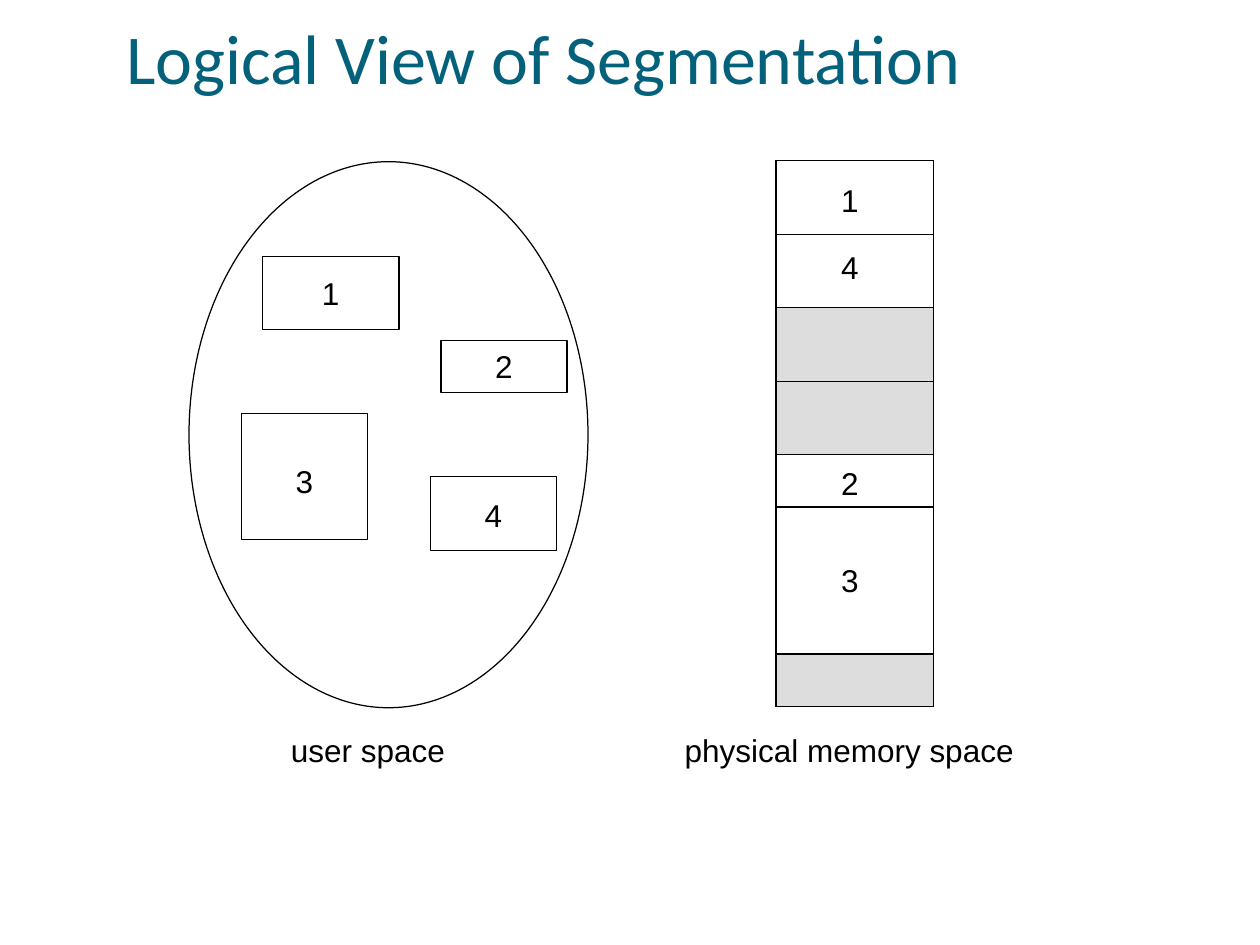
from dataclasses import dataclass

from lxml import etree
from pptx import Presentation, util as u
from pptx.dml.color import RGBColor
from pptx.enum import shapes, text
from pptx.oxml.ns import qn

PX = u.Inches(1) // 120


@dataclass(frozen=True)
class Theme:
    title: RGBColor = RGBColor.from_string("04617B")
    ink: RGBColor = RGBColor.from_string("000000")
    free: RGBColor = RGBColor.from_string("DDDDDD")
    title_size: u.Pt = u.Pt(40)
    body_size: u.Pt = u.Pt(18)
    outline: u.Pt = u.Pt(0.72)
    border: u.Pt = u.Pt(0.75)


theme = Theme()


def write(frame, words, align, top=0, font="Arial", size=theme.body_size, color=theme.ink):
    """Fill a text frame with one styled line and no insets except the top one."""
    frame.margin_left = frame.margin_right = frame.margin_bottom = 0
    frame.margin_top = top * PX
    frame.word_wrap = True
    frame.text = words
    line = frame.paragraphs[0]
    line.alignment = align
    style = line.runs[0].font
    style.name, style.size, style.color.rgb = font, size, color


def outline(kind, left, top, width, height):
    shape = slide.shapes.add_shape(kind, left * PX, top * PX, width * PX, height * PX)
    shape.shadow.inherit = False
    shape.fill.background()
    shape.line.color.rgb = theme.ink
    shape.line.width = theme.outline
    return shape


prs = Presentation()
prs.slide_width, prs.slide_height = 1200 * PX, 900 * PX
slide = prs.slides.add_slide(prs.slide_layouts[5])

title = slide.shapes.title
title.left, title.top, title.width, title.height = 120 * PX, 10 * PX, 908 * PX, 84 * PX
write(title.text_frame, "Logical View of Segmentation", text.PP_ALIGN.LEFT,
      top=2, font="Calibri", size=theme.title_size, color=theme.title)
title.text_frame.vertical_anchor = text.MSO_ANCHOR.BOTTOM
title.text_frame.auto_size = text.MSO_AUTO_SIZE.NONE

# User space: segments scattered inside one address space
outline(shapes.MSO_SHAPE.OVAL, 180, 154, 380, 520)
segments = [
    ("1", 250, 244, 130, 70, 17),
    ("3", 230, 394, 120, 120, 46),
    ("2", 420, 324, 120, 50, 7),
    ("4", 410, 454, 120, 70, 18),
]
for number, left, top, width, height, text_top in segments:
    segment = outline(shapes.MSO_SHAPE.RECTANGLE, left, top, width, height)
    write(segment.text_frame, number, text.PP_ALIGN.CENTER, text_top)
    segment.text_frame.vertical_anchor = text.MSO_ANCHOR.TOP

# Physical memory: (segment, height, text offset); an empty segment is free memory
blocks = [("1", 70, 22), ("4", 70, 16), ("", 70, 0), ("", 70, 0),
          ("2", 50, 12), ("3", 140, 54), ("", 50, 0)]
memory_height = sum(height for _, height, _ in blocks)
memory = slide.shapes.add_table(len(blocks), 1, 739 * PX, 153 * PX,
                                150 * PX, memory_height * PX).table
memory.first_row = memory.horz_banding = False
for row, (number, height, text_top) in enumerate(blocks):
    memory.rows[row].height = height * PX
    cell = memory.cell(row, 0)
    cell.margin_left, cell.margin_top = 62 * PX, text_top * PX
    cell.margin_right = cell.margin_bottom = 0
    properties = cell._tc.get_or_add_tcPr()
    for side in ("a:lnL", "a:lnR", "a:lnT", "a:lnB"):
        edge = etree.SubElement(properties, qn(side), w=str(theme.border))
        paint = etree.SubElement(edge, qn("a:solidFill"))
        etree.SubElement(paint, qn("a:srgbClr"), val=str(theme.ink))
    if number:
        cell.fill.background()
        cell.text = number
        digit = cell.text_frame.paragraphs[0].runs[0].font
        digit.name, digit.size, digit.color.rgb = "Arial", theme.body_size, theme.ink
    else:
        cell.fill.solid()
        cell.fill.fore_color.rgb = theme.free

for caption, left, width in [("user space", 277, 152), ("physical memory space", 652, 318)]:
    label = slide.shapes.add_textbox(left * PX, 694 * PX, width * PX, 40 * PX)
    write(label.text_frame, caption, text.PP_ALIGN.LEFT, top=2)

prs.save("out.pptx")
